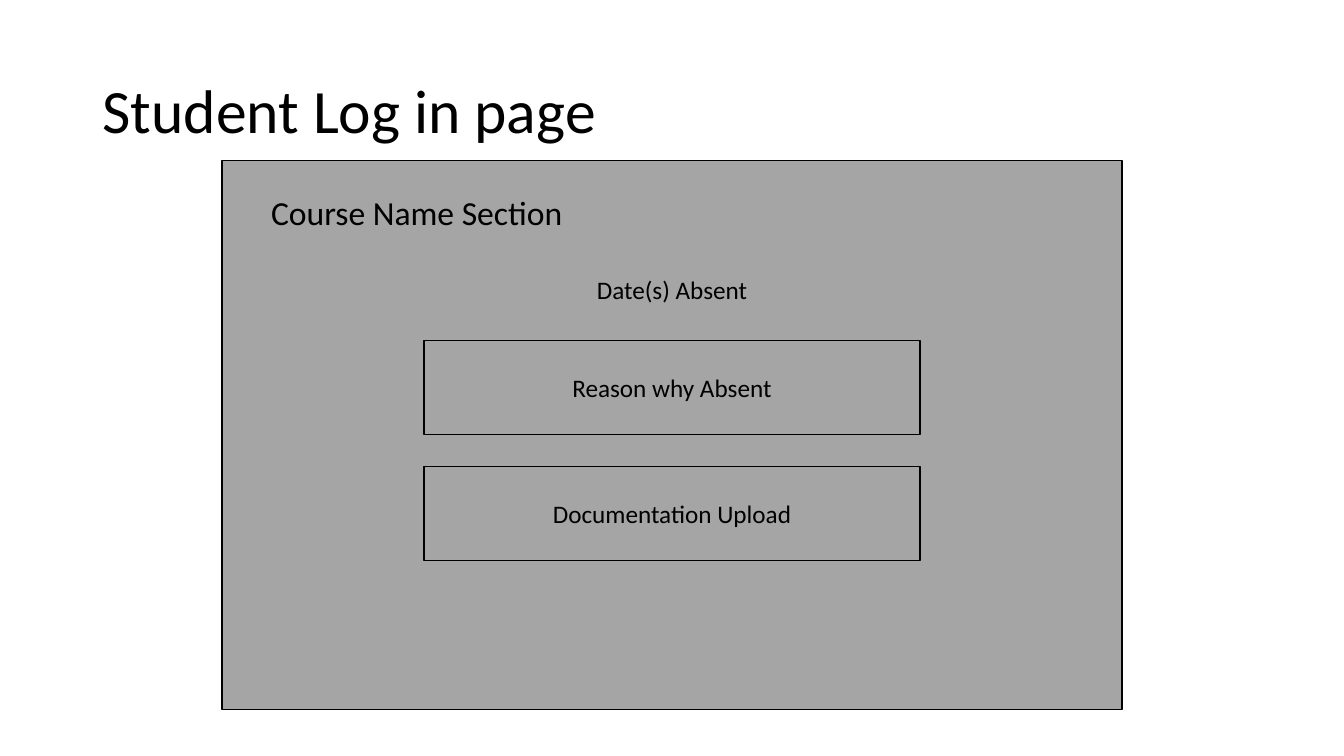
from dataclasses import dataclass

from pptx import Presentation
from pptx.dml.color import RGBColor
from pptx.enum.shapes import MSO_SHAPE
from pptx.enum.text import MSO_ANCHOR, PP_ALIGN
from pptx.util import Pt

RECT = MSO_SHAPE.RECTANGLE
LEFT, CENTER = PP_ALIGN.LEFT, PP_ALIGN.CENTER
TOP, MIDDLE = MSO_ANCHOR.TOP, MSO_ANCHOR.MIDDLE
FONT, BLACK, GRAY = "Calibri", "000000", "A5A5A5"
WIDE, HIGH = 960, 540


@dataclass
class Area:
    """A place on the slide, in points."""
    left: float
    top: float
    width: float
    height: float

    def spot(self) -> tuple:
        """Return the four lengths."""
        return Pt(self.left), Pt(self.top), Pt(self.width), Pt(self.height)


def color(code: str) -> RGBColor:
    """Turn a hex string into a colour."""
    return RGBColor.from_string(code)


def middle(top: float, width: float, height: float) -> Area:
    """Return an area centred across the slide."""
    return Area((WIDE - width) / 2, top, width, height)


def write(shape, text: str, size: float, align=LEFT, anchor=TOP) -> None:
    """Put formatted text into a shape."""
    frame = shape.text_frame
    frame.text = text
    frame.word_wrap = True
    frame.vertical_anchor = anchor
    line = frame.paragraphs[0]
    line.alignment = align
    font = line.runs[0].font
    font.name, font.size = FONT, Pt(size)
    font.color.rgb = color(BLACK)


def box(slide, area: Area, fill: str = ""):
    """Draw an outlined rectangle, filled if a colour is given."""
    shape = slide.shapes.add_shape(RECT, *area.spot())
    shape.shadow.inherit = False
    if fill:
        shape.fill.solid()
        shape.fill.fore_color.rgb = color(fill)
    else:
        shape.fill.background()
    shape.line.color.rgb = color(BLACK)
    shape.line.width = Pt(1)
    return shape


def label(slide, area: Area, text: str, size: float, align=LEFT) -> None:
    """Add a text box."""
    write(slide.shapes.add_textbox(*area.spot()), text, size, align)


deck = Presentation()
deck.slide_width, deck.slide_height = Pt(WIDE), Pt(HIGH)
slide = deck.slides.add_slide(deck.slide_layouts[5])

title = slide.shapes.title
title.left, title.top, title.width, title.height = middle(28.8, 828, 104.4).spot()
write(title, "Student Log in page", 44, LEFT, MIDDLE)
title.text_frame.paragraphs[0].line_spacing = 0.9

box(slide, middle(114.5, 643, 392.4), GRAY)
label(slide, Area(186.5, 133.2, 293.8, 36), "Course Name Section", 24)
label(slide, middle(192.2, 146, 29), "Date(s) Absent", 18, CENTER)

for row, text in enumerate(["Reason why Absent", "Documentation Upload"]):
    field = box(slide, middle(243.4 + 90 * row, 354.2, 67))
    write(field, text, 18, CENTER, MIDDLE)

deck.save("out.pptx")
